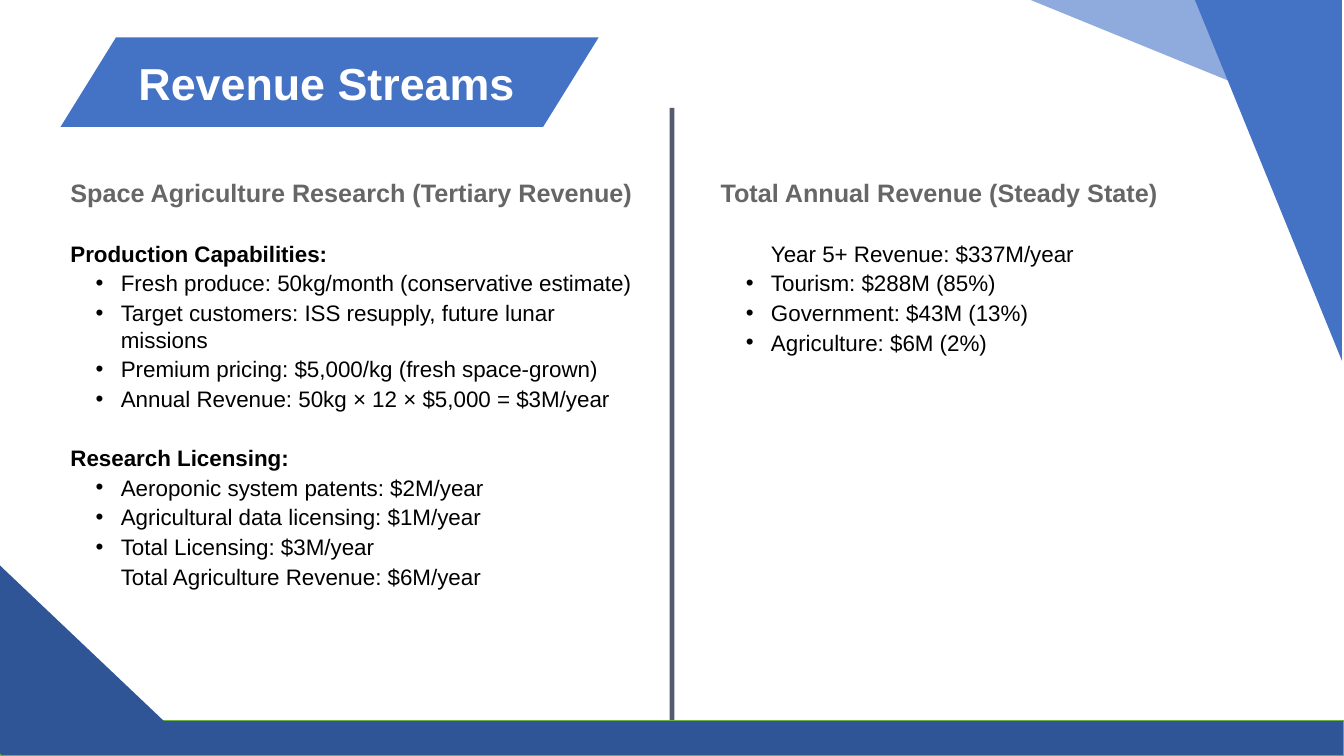
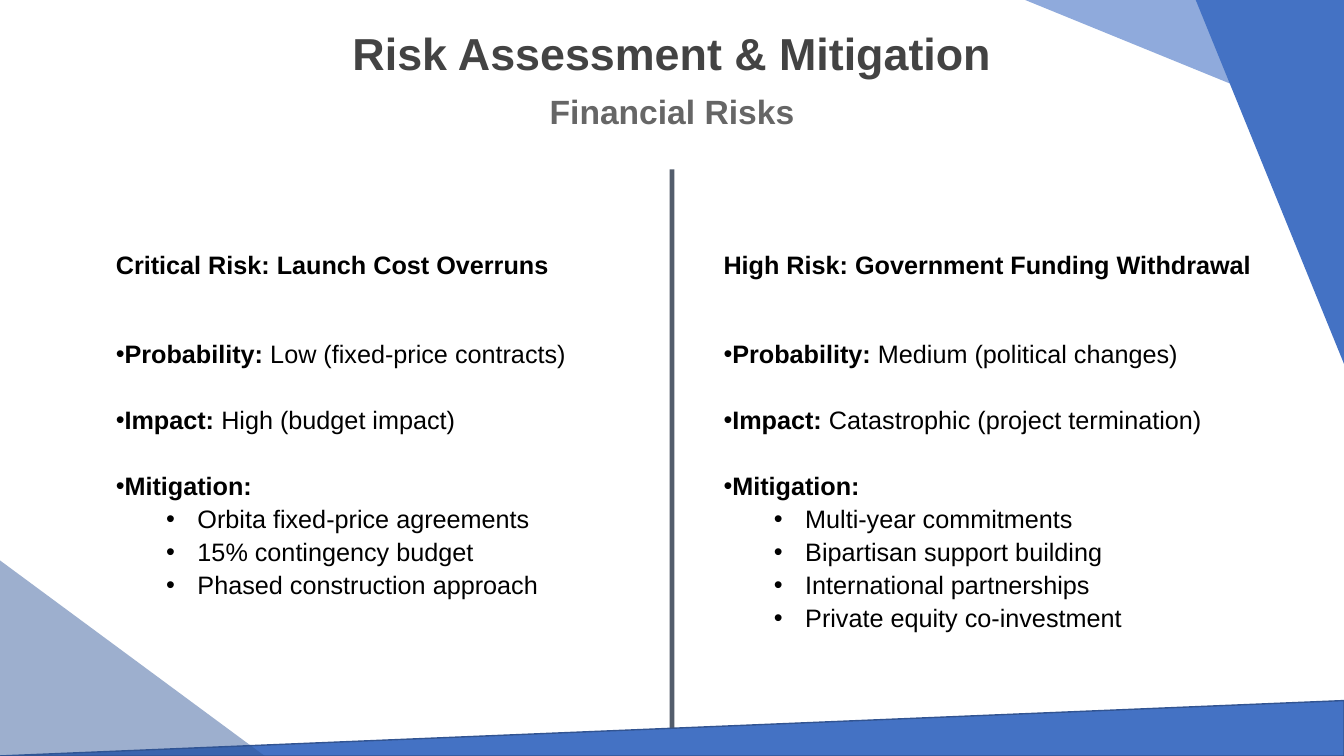
from lxml import etree
from pptx import Presentation
from pptx.dml.color import RGBColor
from pptx.enum.shapes import MSO_CONNECTOR, MSO_SHAPE
from pptx.enum.text import MSO_ANCHOR, PP_ALIGN
from pptx.oxml.ns import qn
from pptx.util import Inches, Pt

TRIANGLE = MSO_SHAPE.ISOSCELES_TRIANGLE
RECTANGLE = MSO_SHAPE.RECTANGLE
PARALLELOGRAM = MSO_SHAPE.PARALLELOGRAM
STRAIGHT = MSO_CONNECTOR.STRAIGHT
LEFT, CENTER = PP_ALIGN.LEFT, PP_ALIGN.CENTER
MIDDLE = MSO_ANCHOR.MIDDLE

COLORS = {
    "navy": "2F5597", "blue": "4472C4", "pale": "8FAADC", "edge": "325491",
    "green": "70AD47", "slate": "333F50", "white": "FFFFFF", "black": "000000",
    "title": "434343", "heading": "666666",
}
FONT = "Arial"
LINE_HEIGHT = 1.2

# Sizes and gaps are points, margins and indents are inches
STYLES = {
    "banner": {"size": 32, "color": "white"},
    "title": {"size": 32, "color": "title", "align": CENTER},
    "subtitle": {"size": 24, "color": "heading", "align": CENTER},
    "heading": {"size": 18, "color": "heading"},
    "group": {"size": 16, "before": 22},
    "item": {"size": 16, "margin": 0.5, "indent": -0.25, "bullet": True},
    "total": {"size": 16, "margin": 0.5},
    "first total": {"size": 16, "margin": 0.5, "before": 22},
    "risk": {"size": 18},
    "first fact": {"size": 18, "before": 41.5, "bullet": True},
    "fact": {"size": 18, "before": 24.5, "bullet": True},
    "measure": {"size": 18, "margin": 0.81, "indent": -0.31, "bullet": True},
}

deck = Presentation()
deck.slide_width, deck.slide_height = Inches(13.33), Inches(7.5)
COLUMN, ROW = deck.slide_width / 100, deck.slide_height / 100


def grid(left, top, width, height):
    """Turn percent of the slide's width and height into lengths."""
    return [round(share * unit) for share, unit in
            zip((left, top, width, height), (COLUMN, ROW, COLUMN, ROW))]


def write(frame, rows):
    """Fill a text frame with rows of (style name, bold text, plain text)."""
    frame.word_wrap = True
    for number, (name, strong, plain) in enumerate(rows):
        style = STYLES[name]
        para = frame.paragraphs[0] if number == 0 else frame.add_paragraph()
        layout = {
            "alignment": style.get("align", LEFT),
            "line_spacing": Pt(style["size"] * LINE_HEIGHT),
            "space_before": Pt(style.get("before", 1) if number else 0),
            "space_after": Pt(1),
        }
        for key, value in layout.items():
            setattr(para, key, value)
        properties = para._p.get_or_add_pPr()
        properties.set("marL", str(Inches(style.get("margin", 0))))
        properties.set("indent", str(Inches(style.get("indent", 0))))
        if style.get("bullet"):
            etree.SubElement(properties, qn("a:buFont")).set("typeface", FONT)
            etree.SubElement(properties, qn("a:buChar")).set("char", "•")
        for text, bold in ((strong, True), (plain, False)):
            if text:
                span = para.add_run()
                span.text = text
                for key, value in {"name": FONT, "size": Pt(style["size"]), "bold": bold}.items():
                    setattr(span.font, key, value)
                span.font.color.rgb = RGBColor.from_string(COLORS[style.get("color", "black")])


# Top right triangles shared by both slides: place and colour
CORNERS = [
    ((76.28, 0, 23.72, 17.2), "pale"),
    ((88.97, 0, 11.03, 48.13), "blue"),
]

PAGES = [
    {
        "texts": [
            ((4.5, 22.8, 43.88, 58), [
                ("heading", "Space Agriculture Research (Tertiary Revenue)", ""),
                ("group", "Production Capabilities:", ""),
                ("item", "", "Fresh produce: 50kg/month (conservative estimate)"),
                ("item", "", "Target customers: ISS resupply, future lunar missions"),
                ("item", "", "Premium pricing: $5,000/kg (fresh space-grown)"),
                ("item", "", "Annual Revenue: 50kg × 12 × $5,000 = $3M/year"),
                ("group", "Research Licensing:", ""),
                ("item", "", "Aeroponic system patents: $2M/year"),
                ("item", "", "Agricultural data licensing: $1M/year"),
                ("item", "", "Total Licensing: $3M/year"),
                ("total", "", "Total Agriculture Revenue: $6M/year"),
            ]),
            ((52.88, 22.8, 45, 25.2), [
                ("heading", "Total Annual Revenue (Steady State)", ""),
                ("first total", "", "Year 5+ Revenue: $337M/year"),
                ("item", "", "Tourism: $288M (85%)"),
                ("item", "", "Government: $43M (13%)"),
                ("item", "", "Agriculture: $6M (2%)"),
            ]),
        ],
        "divider": (14.27, 95.33),
        "corner shift": (-0.15, -0.4),
        "shapes": [
            {"kind": RECTANGLE, "place": (0, 95.33, 100, 4.67), "fill": "navy", "line": "green"},
            {"kind": PARALLELOGRAM, "place": (4.5, 4.93, 40.05, 11.87), "fill": "blue",
             "adjust": 0.62, "rows": [("banner", "Revenue Streams", "")]},
            {"kind": TRIANGLE, "place": (0, 74.8, 14.78, 24.93), "fill": "navy", "adjust": 0},
        ],
    },
    {
        "texts": [
            ((25, 2.8, 50, 8.53), [("title", "Risk Assessment & Mitigation", "")]),
            ((25, 11.33, 50, 6.67), [("subtitle", "Financial Risks", "")]),
            ((7.88, 32.27, 38.93, 52.67), [
                ("risk", "Critical Risk: Launch Cost Overruns", ""),
                ("first fact", "Probability: ", "Low (fixed-price contracts)"),
                ("fact", "Impact: ", "High (budget impact)"),
                ("fact", "Mitigation:", ""),
                ("measure", "", "Orbita fixed-price agreements"),
                ("measure", "", "15% contingency budget"),
                ("measure", "", "Phased construction approach"),
            ]),
            ((53.1, 32.27, 43.8, 52.67), [
                ("risk", "High Risk: Government Funding Withdrawal", ""),
                ("first fact", "Probability: ", "Medium (political changes)"),
                ("fact", "Impact: ", "Catastrophic (project termination)"),
                ("fact", "Mitigation:", ""),
                ("measure", "", "Multi-year commitments"),
                ("measure", "", "Bipartisan support building"),
                ("measure", "", "International partnerships"),
                ("measure", "", "Private equity co-investment"),
            ]),
        ],
        "divider": (22.4, 97.87),
        "corner shift": (0, 0),
        "shapes": [
            {"kind": TRIANGLE, "place": (0, 92.67, 100, 7.33), "fill": "blue",
             "line": "edge", "adjust": 1},
            {"kind": TRIANGLE, "place": (0, 74.13, 19.7, 25.87), "fill": "navy",
             "adjust": 0, "alpha": 47},
        ],
    },
]

for content in PAGES:
    page = deck.slides.add_slide(deck.slide_layouts[6])

    for place, rows in content["texts"]:
        box = page.shapes.add_textbox(*grid(*place))
        write(box.text_frame, rows)

    top, bottom = content["divider"]
    center, start, _, end = grid(50, top, 0, bottom)
    divider = page.shapes.add_connector(STRAIGHT, center, start, center, end)
    divider.line.width = Pt(3.25)
    divider.line.color.rgb = RGBColor.from_string(COLORS["slate"])
    etree.SubElement(divider._element.spPr, qn("a:effectLst"))
    faded = [(divider, 84)]

    across, down = content["corner shift"]
    corners = [
        {"kind": TRIANGLE, "place": (left + across, above + down, width, height),
         "fill": color, "adjust": 0, "rotation": 180}
        for (left, above, width, height), color in CORNERS
    ]
    for item in corners + content["shapes"]:
        shape = page.shapes.add_shape(item["kind"], *grid(*item["place"]))
        shape.shadow.inherit = False
        shape.rotation = item.get("rotation", 0)
        shape.fill.solid()
        shape.fill.fore_color.rgb = RGBColor.from_string(COLORS[item["fill"]])
        if "adjust" in item:
            shape.adjustments[0] = item["adjust"]
        if "line" in item:
            shape.line.color.rgb = RGBColor.from_string(COLORS[item["line"]])
            shape.line.width = Pt(1)
        else:
            shape.line.fill.background()
        if "rows" in item:
            shape.text_frame.vertical_anchor = MIDDLE
            write(shape.text_frame, item["rows"])
        if "alpha" in item:
            faded.append((shape, item["alpha"]))

    for drawn, percent in faded:
        for color in drawn._element.spPr.iter(qn("a:srgbClr")):
            etree.SubElement(color, qn("a:alpha")).set("val", str(percent * 1000))

deck.save("out.pptx")
